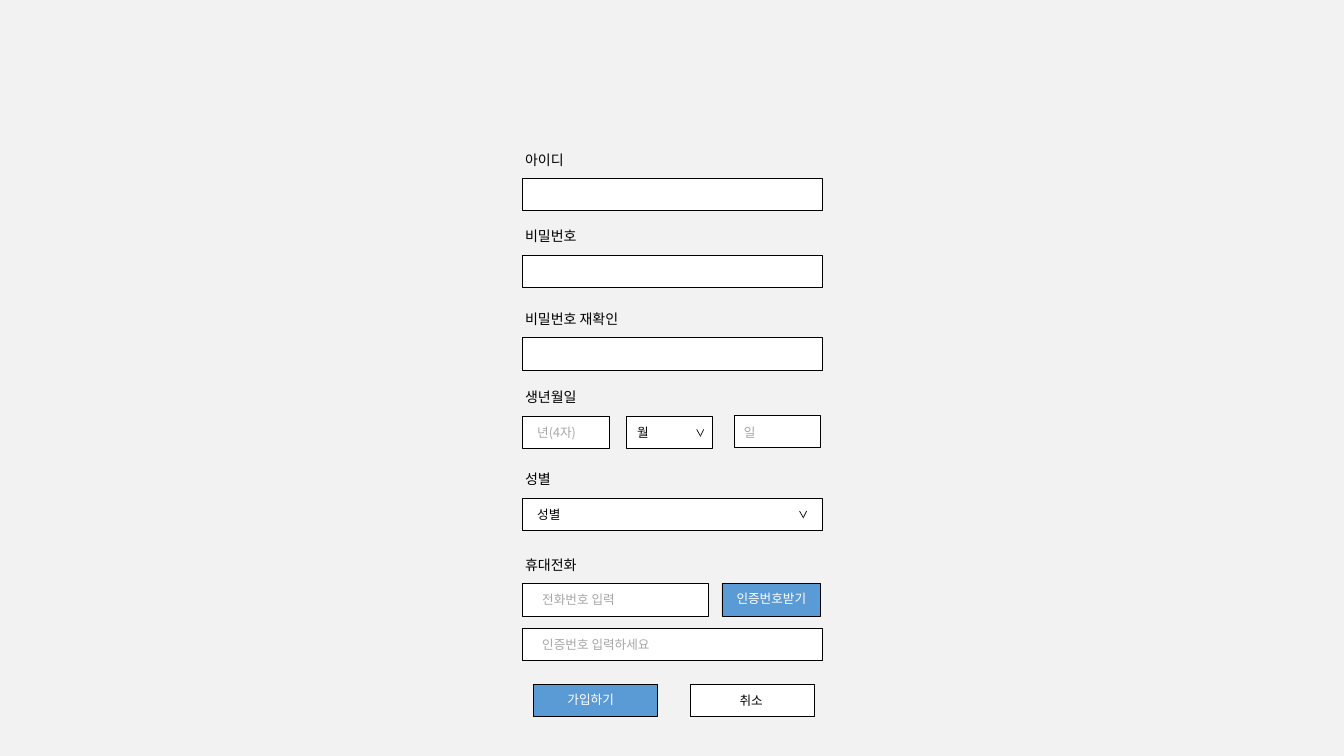
from dataclasses import dataclass

from lxml import etree
from pptx import Presentation
from pptx import util as u
from pptx.dml.color import RGBColor
from pptx.enum import shapes, text
from pptx.oxml.ns import qn


@dataclass(frozen=True)
class Theme:
    """Colours, font, type sizes and line widths of the form."""
    page: str = "F2F2F2"
    ink: str = "000000"
    hint: str = "A6A6A6"
    white: str = "FFFFFF"
    accent: str = "5B9BD5"
    font: str = "Noto Sans CJK KR"
    label_size: float = 10
    entry_size: float = 9
    border: float = 0.5
    thin_border: float = 0.25


class FormSlide:
    """Draws form elements on one slide in one theme."""

    def __init__(self, deck, theme):
        """Add a blank slide with the page colour."""
        self.theme = theme
        self.slide = deck.slides.add_slide(deck.slide_layouts[6])
        fill = self.slide.background.fill
        fill.solid()
        fill.fore_color.rgb = RGBColor.from_string(theme.page)

    def box(self, left, top, width, fill=None, border=None):
        """Draw a bordered field or button of the common height."""
        box = self.slide.shapes.add_shape(
            shapes.MSO_SHAPE.RECTANGLE, u.Inches(left), u.Inches(top),
            u.Inches(width), u.Inches(FIELD_HEIGHT))
        box.shadow.inherit = False
        box.fill.solid()
        box.fill.fore_color.rgb = RGBColor.from_string(fill or self.theme.white)
        box.line.color.rgb = RGBColor.from_string(self.theme.ink)
        box.line.width = u.Pt(border or self.theme.border)

    def words(self, wording, left, top, width, height=0.25, size=None,
              color=None, centred=False):
        """Write one line of text."""
        box = self.slide.shapes.add_textbox(
            u.Inches(left), u.Inches(top), u.Inches(width), u.Inches(height))
        frame = box.text_frame
        frame.word_wrap = True
        frame.auto_size = text.MSO_AUTO_SIZE.SHAPE_TO_FIT_TEXT
        frame.text = wording
        para = frame.paragraphs[0]
        if centred:
            para.alignment = text.PP_ALIGN.CENTER
        span = para.runs[0]
        span.font.size = u.Pt(size or self.theme.entry_size)
        span.font.name = self.theme.font
        span.font.color.rgb = RGBColor.from_string(color or self.theme.ink)
        east_asian = etree.SubElement(span.font._element, qn("a:ea"))
        east_asian.set("typeface", self.theme.font)

    def label(self, wording, top, width=1.11):
        """Write a field label."""
        self.words(wording, LABEL_LEFT, top, width, 0.27, self.theme.label_size)

    def chevron(self, left, top):
        """Draw the grouped two-stroke arrow of a drop-down list."""
        group = self.slide.shapes.add_group_shape()
        for start, depth in ((0, 0.07), (0.07, 0.06)):
            stroke = group.shapes.add_connector(
                shapes.MSO_CONNECTOR.STRAIGHT,
                u.Inches(left + start), u.Inches(top),
                u.Inches(left + 0.04), u.Inches(top + depth))
            stroke.line.color.rgb = RGBColor.from_string(self.theme.ink)
            stroke.line.width = u.Pt(self.theme.border)
            etree.SubElement(stroke._element.spPr, qn("a:effectLst"))


LABEL_LEFT, FIELD_LEFT = 5.11, 5.18
FIELD_WIDTH, FIELD_HEIGHT = 2.98, 0.32
DATE_WIDTH, BUTTON_WIDTH, CODE_WIDTH = 0.86, 1.23, 0.98
LABEL_DROP = 0.32

theme = Theme()
deck = Presentation()
deck.slide_width, deck.slide_height = u.Inches(13.33), u.Inches(7.5)
form = FormSlide(deck, theme)

# Labels, with the width of the field below each
rows = [
    ("아이디", 1.45, FIELD_WIDTH),
    ("비밀번호", 2.21, FIELD_WIDTH),
    ("비밀번호 재확인", 3.03, FIELD_WIDTH),
    ("생년월일", 3.81, DATE_WIDTH),
    ("성별", 4.62, FIELD_WIDTH),
    ("휴대전화", 5.47, 1.85),
]
for wording, top, width in rows:
    form.label(wording, top, 1.28 if " " in wording else 1.11)
    form.box(FIELD_LEFT, top + LABEL_DROP, width)

# Remaining fields and buttons
form.box(6.21, 4.13, DATE_WIDTH)
form.box(7.28, 4.12, DATE_WIDTH)
form.box(7.16, 5.79, CODE_WIDTH, theme.accent, theme.thin_border)
form.box(FIELD_LEFT, 6.23, FIELD_WIDTH)
form.box(5.29, 6.79, BUTTON_WIDTH, theme.accent)
form.box(6.85, 6.79, BUTTON_WIDTH)

# Entries and hints
entries = [
    ("년(4자)", 5.23, 4.17, 0.68, theme.hint),
    ("월", 6.22, 4.17, 0.68, theme.ink),
    ("일", 7.28, 4.17, 0.68, theme.hint),
    ("성별", 5.23, 4.98, 0.68, theme.ink),
    ("인증번호 입력하세요", 5.28, 6.27, 1.44, theme.hint),
    ("전화번호 입력", 5.28, 5.82, 1.44, theme.hint),
    ("가입하기", 5.53, 6.81, 0.74, theme.white),
]
for wording, left, top, width, color in entries:
    form.words(wording, left, top, width, color=color)
form.words("취소", 7.08, 6.82, 0.74, centred=True)
form.words("인증번호받기", 7.16, 5.81, CODE_WIDTH, color=theme.white, centred=True)

form.chevron(6.91, 4.26)
form.chevron(7.93, 5.07)

deck.save("out.pptx")
